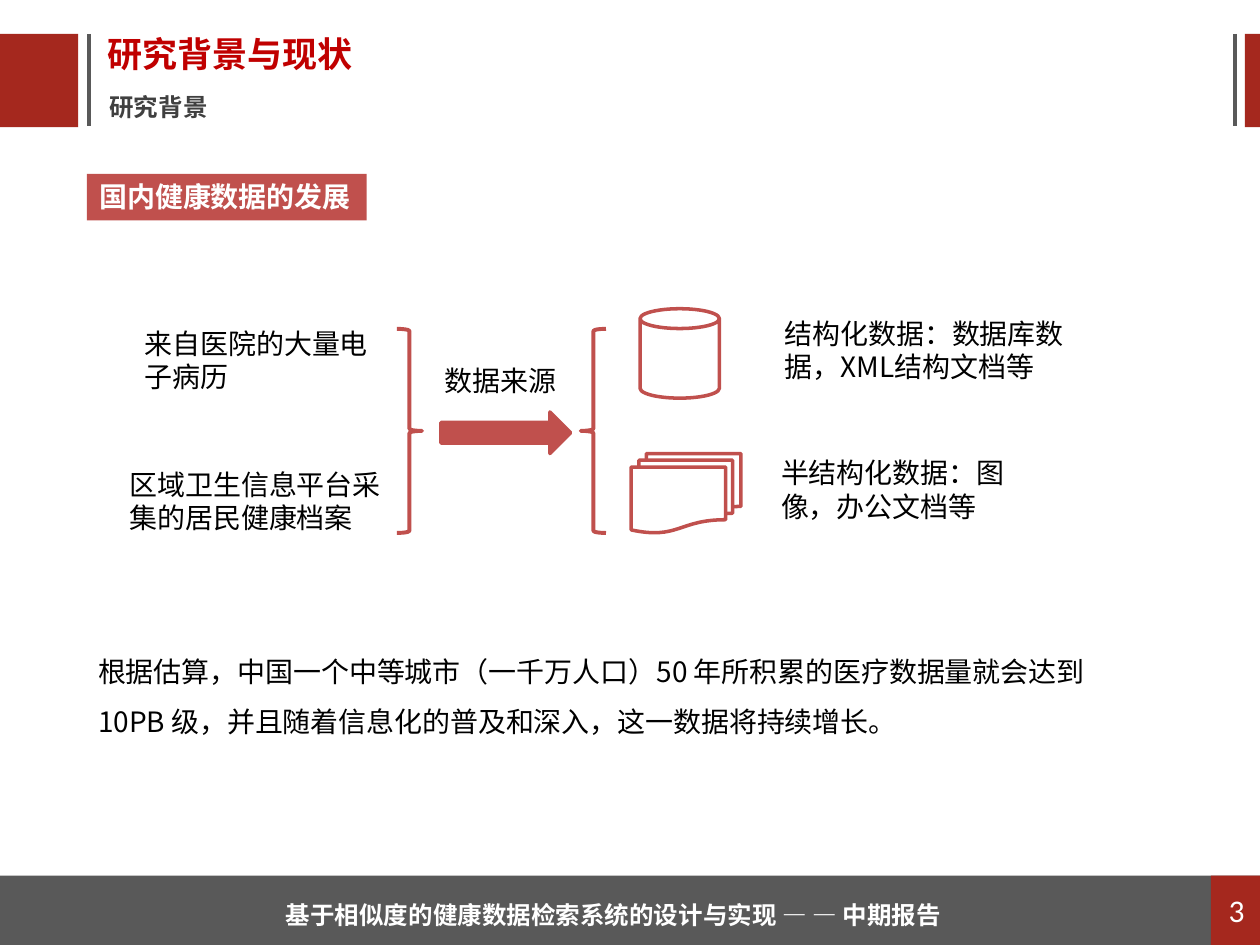
from typing import NamedTuple, Optional

from lxml.etree import SubElement
from pptx import Presentation
from pptx.dml.color import RGBColor
from pptx.enum.shapes import MSO_CONNECTOR, MSO_SHAPE
from pptx.enum.text import MSO_ANCHOR, MSO_AUTO_SIZE, PP_ALIGN
from pptx.oxml.ns import qn
from pptx.util import Inches, Pt

CJK = "Noto Sans CJK SC"
RED = RGBColor(0xA5, 0x28, 0x1E)
TITLE_RED = RGBColor(0xC0, 0x00, 0x00)
ACCENT = RGBColor(0xC0, 0x50, 0x4D)
GRAY = RGBColor(0x59, 0x59, 0x59)
DARK = RGBColor(0x40, 0x40, 0x40)
BLACK = RGBColor(0x00, 0x00, 0x00)
WHITE = RGBColor(0xFF, 0xFF, 0xFF)


class Box(NamedTuple):
    x: float
    y: float
    w: float
    h: float

    def emu(self) -> list:
        return [Inches(v) for v in self]


class Style(NamedTuple):
    size: int = 16
    color: RGBColor = BLACK
    bold: bool = False
    font: str = CJK


class Label(NamedTuple):
    box: Box
    text: str
    style: Style = Style()
    wrap: bool = True
    spacing: Optional[float] = None
    inset: bool = True


class Outline(NamedTuple):
    kind: MSO_SHAPE
    box: Box
    width: float = 2


HEADER_BLOCKS = [Box(9.88, 0.27, 0.13, 0.74), Box(0, 0.27, 0.62, 0.74)]
HEADER_RULES = [9.8, 0.71]
FOOTER = Box(-0.03, 6.95, 10.05, 0.55)
PAGE_BOX = Box(9.61, 6.95, 0.41, 0.55)
SECTION = Label(Box(0.69, 1.38, 2.22, 0.37), "国内健康数据的发展",
                Style(color=WHITE, bold=True), wrap=False)
ARROW = Box(3.5, 3.27, 1.03, 0.33)

OUTLINES = [
    Outline(MSO_SHAPE.RIGHT_BRACE, Box(3.15, 2.61, 0.2, 1.62), 2.25),
    Outline(MSO_SHAPE.CAN, Box(5.08, 2.45, 0.63, 0.71)),
    Outline(MSO_SHAPE.FLOWCHART_MULTIDOCUMENT, Box(5.01, 3.6, 0.87, 0.63)),
    Outline(MSO_SHAPE.LEFT_BRACE, Box(4.61, 2.61, 0.2, 1.62), 2.25),
]

LABELS = [
    Label(Box(0.85, 0.26, 1.96, 0.34), "研究背景与现状",
          Style(20, TITLE_RED, True), wrap=False, inset=False),
    Label(Box(0.77, 0.68, 4.28, 0.34), "研究背景", Style(14, DARK, True)),
    Label(Box(1.05, 2.54, 2.1, 0.64), "来自医院的大量电子病历"),
    Label(Box(0.93, 3.66, 2.25, 0.64), "区域卫生信息平台采集的居民健康档案"),
    Label(Box(6.13, 2.46, 2.57, 0.64), "结构化数据：数据库数据，XML结构文档等"),
    Label(Box(6.1, 3.57, 2.18, 0.64), "半结构化数据：图像，办公文档等"),
    Label(Box(3.43, 2.84, 1.1, 0.37), "数据来源", wrap=False),
    Label(Box(0.68, 5.01, 8.41, 0.91),
          "根据估算，中国一个中等城市（一千万人口）50 年所积累的医疗数据量就会达到"
          "10PB 级，并且随着信息化的普及和深入，这一数据将持续增长。", spacing=1.5),
    Label(Box(2.17, 6.98, 5.51, 0.45),
          "基于相似度的健康数据检索系统的设计与实现 — — 中期报告",
          Style(14, WHITE, True), wrap=False, spacing=1.5),
]


def add_run(p, text: str, style: Style) -> None:
    r = p.add_run()
    r.text = text
    r.font.size = Pt(style.size)
    r.font.bold = style.bold
    r.font.name = style.font
    r.font.color.rgb = style.color
    SubElement(r.font._element, qn("a:ea")).set("typeface", style.font)


def fill_text(tf, label: Label) -> None:
    tf.word_wrap = label.wrap
    tf.auto_size = MSO_AUTO_SIZE.SHAPE_TO_FIT_TEXT
    tf.vertical_anchor = MSO_ANCHOR.TOP
    if not label.inset:
        tf.margin_left = tf.margin_right = tf.margin_top = tf.margin_bottom = 0
    p = tf.paragraphs[0]
    p.alignment = PP_ALIGN.LEFT
    if label.spacing:
        p.line_spacing = label.spacing
    add_run(p, label.text, label.style)


def add_label(s, label: Label) -> None:
    fill_text(s.shapes.add_textbox(*label.box.emu()).text_frame, label)


def add_solid(s, box: Box, color: RGBColor, kind: MSO_SHAPE = MSO_SHAPE.RECTANGLE):
    sp = s.shapes.add_shape(kind, *box.emu())
    sp.shadow.inherit = False
    sp.fill.solid()
    sp.fill.fore_color.rgb = color
    sp.line.fill.background()
    return sp


def set_line(sp, color: RGBColor, width: float) -> None:
    sp.line.color.rgb = color
    sp.line.width = Pt(width)


def add_outline(s, outline: Outline) -> None:
    sp = s.shapes.add_shape(outline.kind, *outline.box.emu())
    sp.shadow.inherit = False
    sp.fill.background()
    set_line(sp, ACCENT, outline.width)


def add_rule(s, x: float) -> None:
    line = s.shapes.add_connector(MSO_CONNECTOR.STRAIGHT, Inches(x), Inches(0.27),
                                  Inches(x), Inches(1))
    set_line(line, GRAY, 2.25)
    SubElement(line._element.spPr, qn("a:effectLst"))


def add_page_number(s, number: str) -> None:
    tf = add_solid(s, PAGE_BOX, RED).text_frame
    tf.vertical_anchor = MSO_ANCHOR.MIDDLE
    p = tf.paragraphs[0]
    p.alignment = PP_ALIGN.CENTER
    add_run(p, number, Style(18, WHITE, font="Calibri"))


def main() -> None:
    prs = Presentation()
    prs.slide_width, prs.slide_height = Inches(10), Inches(7.5)
    s = prs.slides.add_slide(prs.slide_layouts[6])

    for block, x in zip(HEADER_BLOCKS, HEADER_RULES):
        add_solid(s, block, RED)
        add_rule(s, x)
    add_solid(s, FOOTER, GRAY)
    add_page_number(s, "3")

    fill_text(add_solid(s, SECTION.box, ACCENT).text_frame, SECTION)
    set_line(add_solid(s, ARROW, ACCENT, MSO_SHAPE.RIGHT_ARROW), ACCENT, 2)
    for outline in OUTLINES:
        add_outline(s, outline)
    for label in LABELS:
        add_label(s, label)

    prs.save("out.pptx")


if __name__ == "__main__":
    main()
